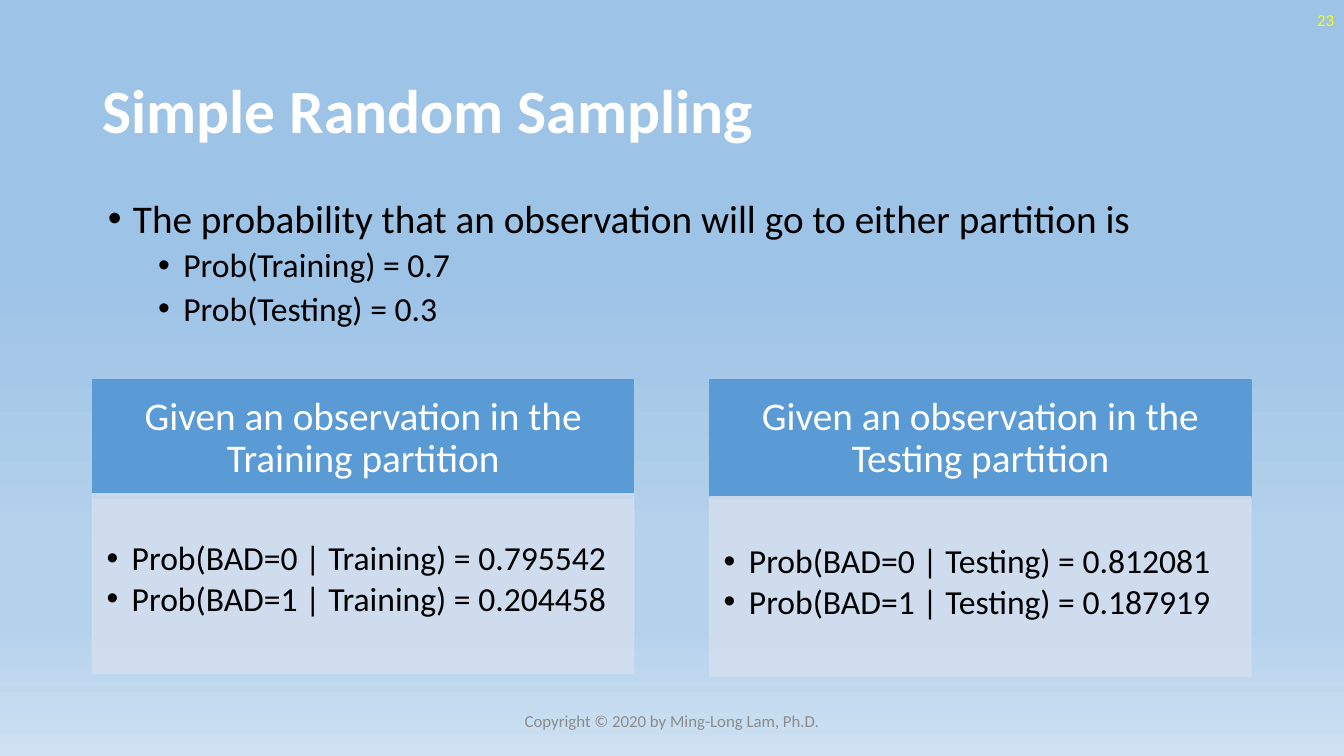
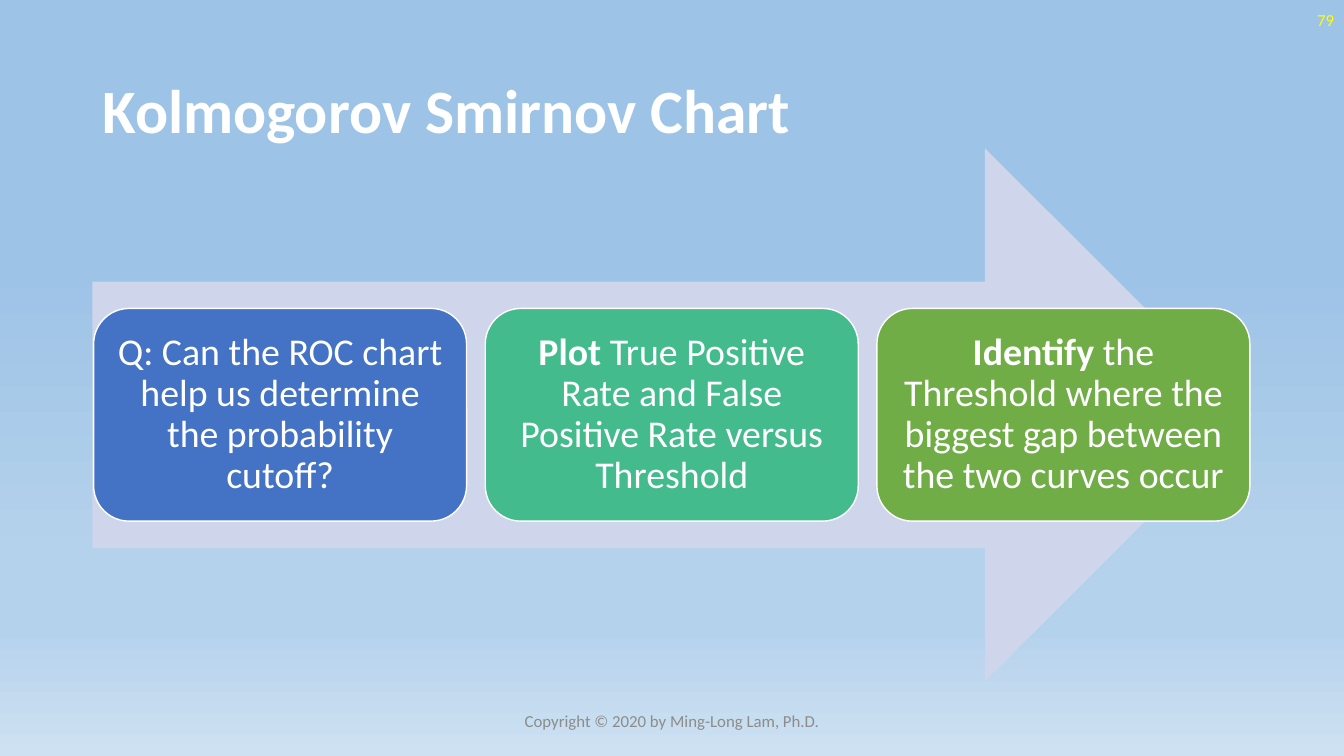
from lxml import etree
from pptx import Presentation
from pptx.dml.color import RGBColor
from pptx.enum.shapes import MSO_SHAPE
from pptx.enum.text import MSO_ANCHOR, PP_ALIGN
from pptx.oxml.ns import qn
from pptx.util import Inches, Pt

RECT, ROUNDED, ARROW = (MSO_SHAPE.RECTANGLE, MSO_SHAPE.ROUNDED_RECTANGLE,
                        MSO_SHAPE.RIGHT_ARROW)
TOP, MIDDLE = MSO_ANCHOR.TOP, MSO_ANCHOR.MIDDLE
LEFT, CENTER, RIGHT = PP_ALIGN.LEFT, PP_ALIGN.CENTER, PP_ALIGN.RIGHT

FONT = "Calibri"
COLORS = {
    "text": "000000", "white": "FFFFFF", "number": "FFFF00", "footer": "8C8C8C",
    "header": "5B9BD5", "panel": "D2DEEF", "arrow": "CFD5EA",
    "blue": "4472C4", "teal": "43BB8D", "green": "70AD47",
}
BACKGROUND = [(35, "9DC3E6"), (74, "B5D2EC"), (83, "B5D2EC"), (100, "CEE1F2")]
COLS, ROWS = 64, 36
MARGIN, WIDTH = 4.4, 55.2
FOOTER = "Copyright © 2020 by Ming-Long Lam, Ph.D."


def rgb(name):
    return RGBColor.from_string(COLORS[name])


def add_child(parent, tag, **attributes):
    return etree.SubElement(parent, qn(tag), attributes)


class Deck:
    """Shared style and the current slide; boxes are (column, row, columns, rows)."""

    def __init__(self):
        self.prs = Presentation()
        self.prs.slide_width, self.prs.slide_height = Inches(13.33), Inches(7.5)
        self.s = None

    def place(self, box):
        cell_w, cell_h = self.prs.slide_width / COLS, self.prs.slide_height / ROWS
        return [round(n * cell) for n, cell in zip(box, (cell_w, cell_h) * 2)]

    def slide(self, title, number):
        self.s = self.prs.slides.add_slide(self.prs.slide_layouts[6])
        self.background()
        self.text((MARGIN, 1.92, WIDTH, 6.96),
                  [self.par((title, True), size=44, color="white", line_spacing=0.9)])
        self.text((49.6, 0, 14.4, 1.92),
                  [self.par(str(number), size=12, color="number", alignment=RIGHT)])
        self.text((21.2, 33.36, 21.6, 1.92),
                  [self.par(FOOTER, size=12, color="footer", alignment=CENTER)])

    def background(self):
        fill = self.s.background.fill
        fill.gradient()
        fill.gradient_angle = 270
        stops = self.s.element.xpath(".//a:gsLst")[0]
        for stop in list(stops):
            stops.remove(stop)
        for percent, color in BACKGROUND:
            stop = add_child(stops, "a:gs", pos=str(percent * 1000))
            add_child(stop, "a:srgbClr", val=color)

    @staticmethod
    def par(*runs, size, color="text", indent=None, **layout):
        """Describe a paragraph; a run is a string or (string, bold)."""
        return {"runs": runs, "size": size, "color": color, "indent": indent,
                "layout": layout}

    def bullet(self, text, size, indent=0.25, **layout):
        return self.par(text, size=size, indent=indent, line_spacing=0.9, **layout)

    def text(self, box, pars, anchor=MIDDLE):
        self.fill_text(self.s.shapes.add_textbox(*self.place(box)), pars, anchor)

    def fill_text(self, sp, pars, anchor=MIDDLE, insets=(0.1, 0.05, 0.1, 0.05)):
        tf = sp.text_frame
        tf.word_wrap, tf.vertical_anchor = True, anchor
        for side, inset in zip(("left", "top", "right", "bottom"), insets):
            setattr(tf, f"margin_{side}", Inches(inset))
        for i, item in enumerate(pars):
            p = tf.paragraphs[0] if i == 0 else tf.add_paragraph()
            for name, value in ({"alignment": LEFT} | item["layout"]).items():
                setattr(p, name, value)
            if item["indent"]:
                self.mark(p, item["indent"])
            for run in item["runs"]:
                content, bold = (run, False) if isinstance(run, str) else run
                r = p.add_run()
                r.text = content
                font = {"name": FONT, "size": Pt(item["size"]), "bold": bold}
                for name, value in font.items():
                    setattr(r.font, name, value)
                r.font.color.rgb = rgb(item["color"])

    @staticmethod
    def mark(p, indent):
        """Give a paragraph a hanging bullet."""
        pPr = p._p.get_or_add_pPr()
        pPr.set("marL", str(Inches(indent)))
        pPr.set("indent", str(-Inches(0.25)))
        add_child(pPr, "a:buFont", typeface="Arial")
        add_child(pPr, "a:buChar", char="•")

    def shape(self, kind, box, fill, line=None, opacity=100):
        sp = self.s.shapes.add_shape(kind, *self.place(box))
        sp.shadow.inherit = False
        sp.fill.solid()
        sp.fill.fore_color.rgb = rgb(fill)
        if line:
            sp.line.color.rgb, sp.line.width = rgb(line), Pt(1)
        else:
            sp.line.fill.background()
        if opacity < 100:
            for color in sp.element.xpath("./p:spPr//a:srgbClr"):
                add_child(color, "a:alpha", val=str(opacity * 1000))
        return sp

    def panel(self, column, body_row, heading, items):
        header = self.shape(RECT, (column, 18.1, 25.78, 5.62), "header", "header")
        self.fill_text(header, [self.par(heading, size=28, color="white",
                                         alignment=CENTER, line_spacing=0.9)],
                       insets=(0.22, 0.12, 0.22, 0.12))
        body = self.shape(RECT, (column, body_row, 25.78, 8.54), "panel", "panel", 90)
        self.fill_text(body,
                       [self.bullet(item, 24, space_after=Pt(3)) for item in items],
                       insets=(0.14, 0.14, 0.19, 0.21))

    def card(self, column, fill, runs):
        sp = self.shape(ROUNDED, (column, 14.69, 17.76, 10.13), fill, "white")
        self.fill_text(sp, [self.par(*runs, size=27, color="white", alignment=CENTER,
                                     line_spacing=0.9)], insets=(0.11,) * 4)


def sampling_slide(deck):
    deck.slide("Simple Random Sampling", 23)
    lead = "The probability that an observation will go to either partition is"
    chances = ["Prob(Training) = 0.7", "Prob(Testing) = 0.3"]
    deck.text((4.66, 9.26, 54.72, 7.39),
              [deck.bullet(lead, 28)]
              + [deck.bullet(c, 24, 0.75, space_before=Pt(5)) for c in chances], TOP)
    partitions = [("Training", 23.52, ("0.795542", "0.204458")),
                  ("Testing", 23.66, ("0.812081", "0.187919"))]
    for i, (name, body_row, values) in enumerate(partitions):
        deck.panel(MARGIN + i * 29.39, body_row,
                   f"Given an observation in the {name} partition",
                   [f"Prob(BAD={bad} | {name}) = {value}"
                    for bad, value in enumerate(values)])


def chart_steps_slide(deck):
    deck.slide("Kolmogorov Smirnov Chart", 79)
    deck.shape(ARROW, (MARGIN, 7.06, WIDTH, 25.39), "arrow")
    steps = [
        ("blue", ["Q: Can the ROC chart help us determine the probability cutoff?"]),
        ("teal", [("Plot", True),
                  " True Positive Rate and False Positive Rate versus Threshold"]),
        ("green", [("Identify", True),
                   " the Threshold where the biggest gap between the two curves occur"]),
    ]
    for i, (fill, runs) in enumerate(steps):
        deck.card(4.46 + i * 18.65, fill, runs)


def main():
    deck = Deck()
    sampling_slide(deck)
    chart_steps_slide(deck)
    deck.prs.save("out.pptx")


if __name__ == "__main__":
    main()
